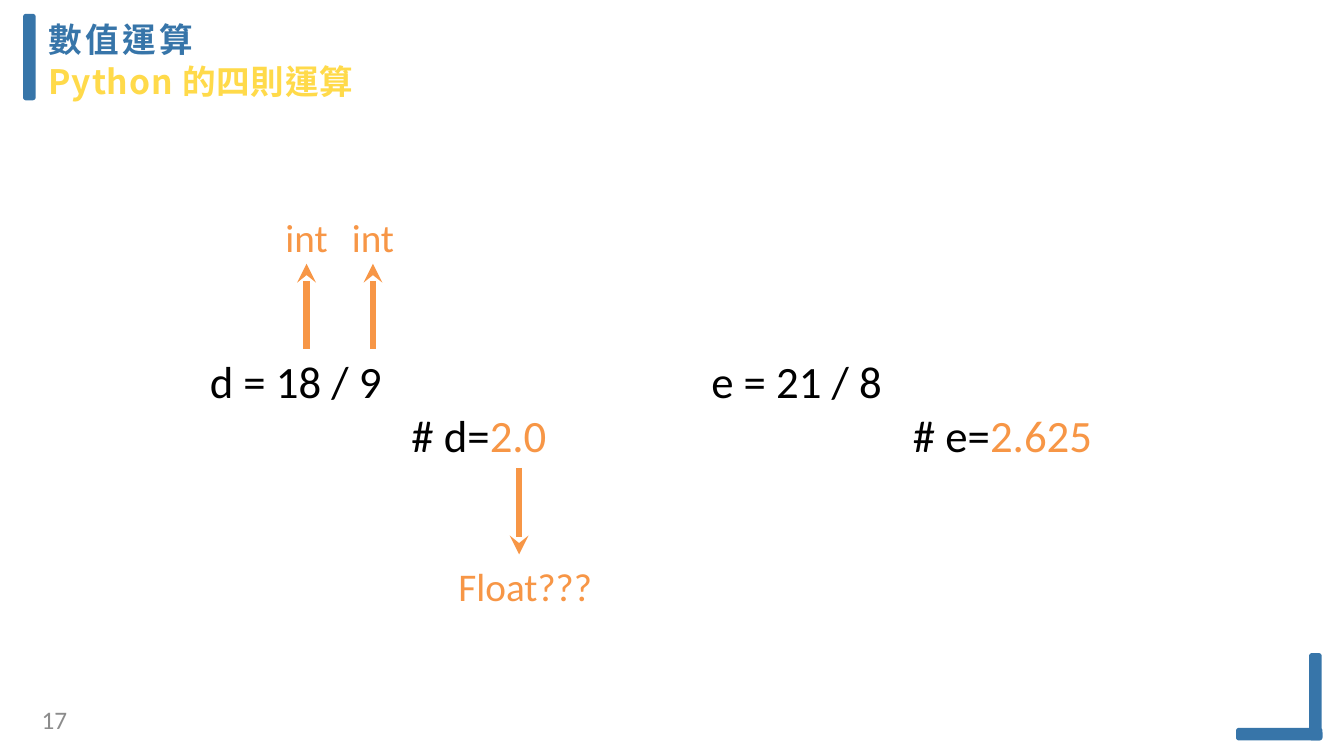
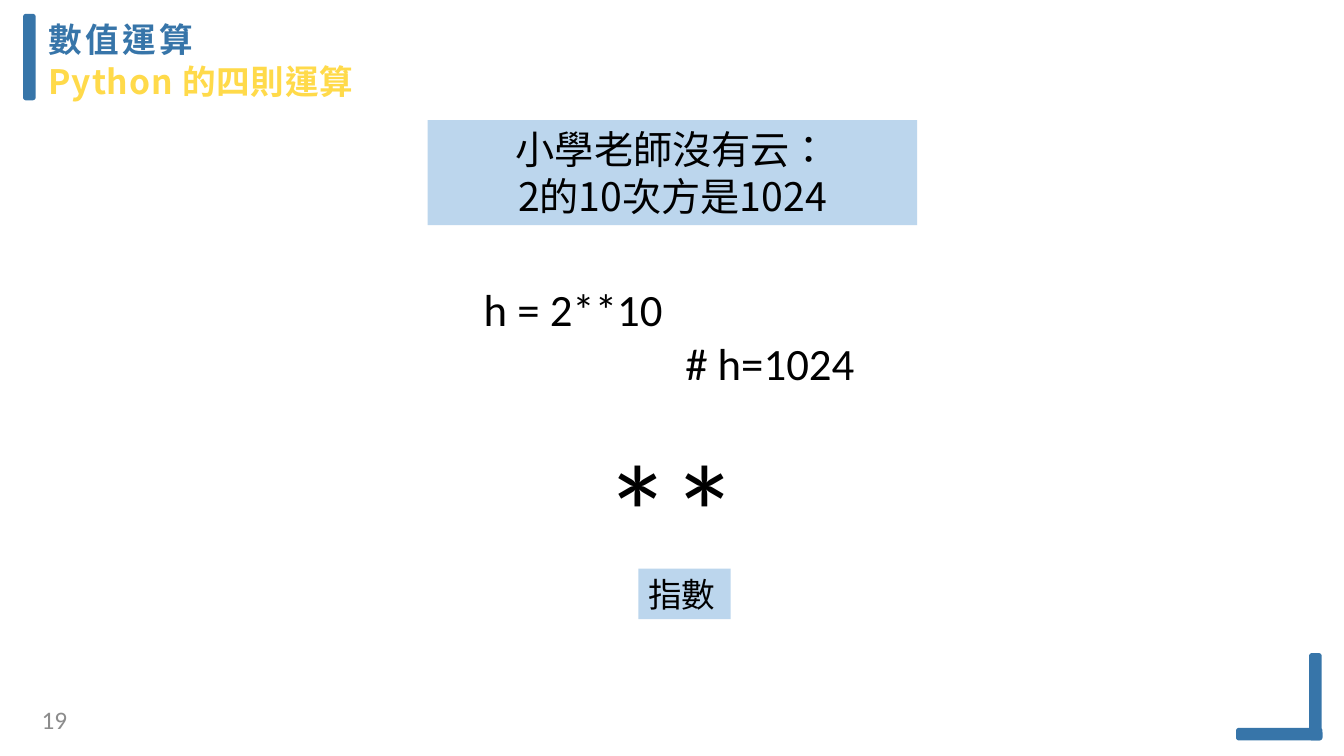
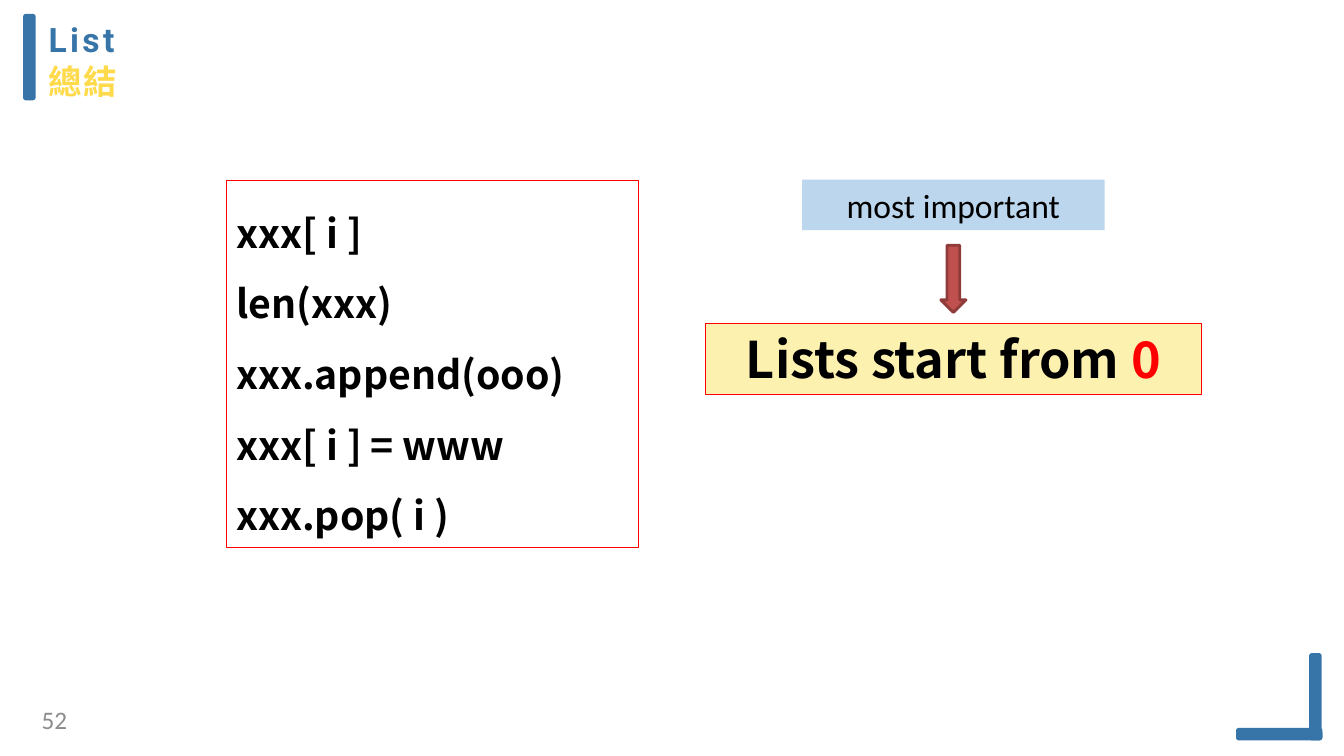
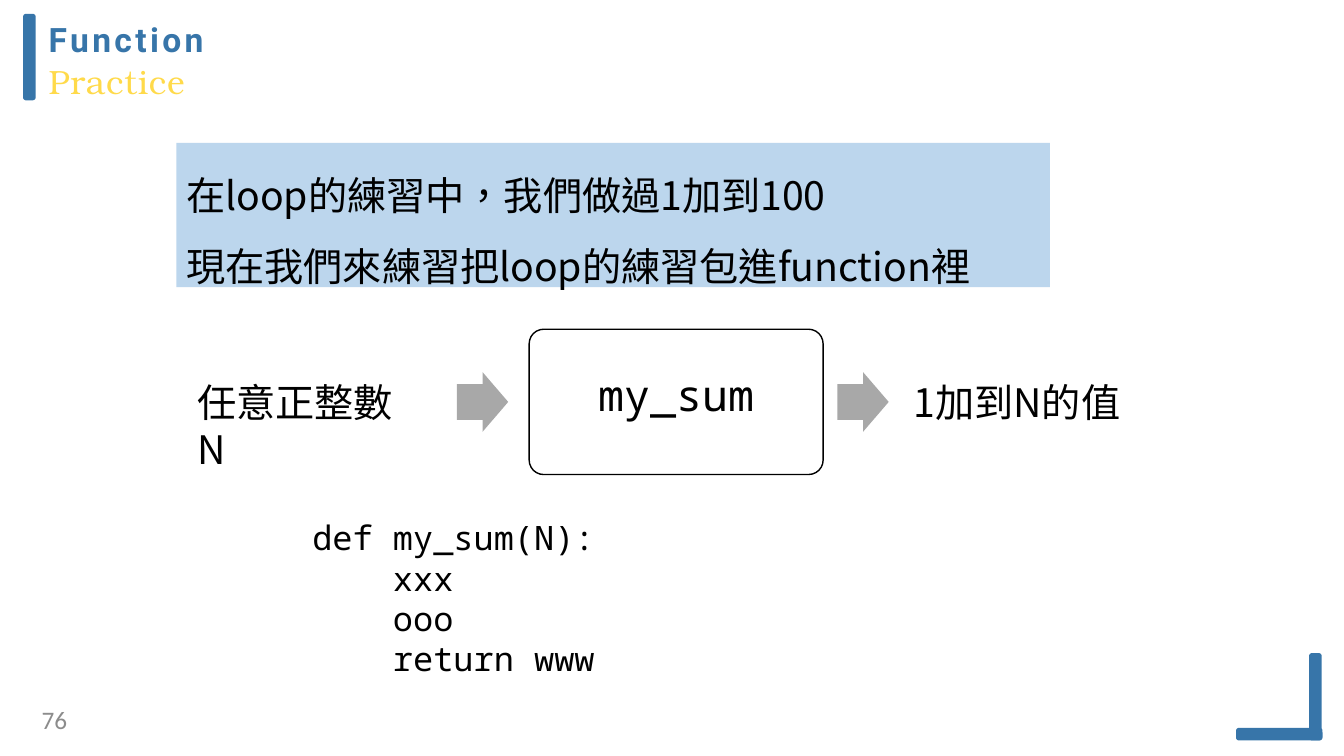
import pptx
import pptx.dml.color
import pptx.enum.shapes
import pptx.enum.text
import pptx.oxml
import pptx.oxml.ns
import pptx.util

RGBColor = pptx.dml.color.RGBColor
Shape = pptx.enum.shapes.MSO_SHAPE
Align = pptx.enum.text.PP_ALIGN
Anchor = pptx.enum.text.MSO_ANCHOR

BLUE = RGBColor(0x37, 0x75, 0xA9)
YELLOW = RGBColor(0xFF, 0xDA, 0x4A)
ORANGE = RGBColor(0xF7, 0x96, 0x46)
PALE_BLUE = RGBColor(0xBC, 0xD6, 0xED)
PALE_YELLOW = RGBColor(0xFD, 0xF1, 0xB0)
RED = RGBColor(0xFF, 0x00, 0x00)
BRICK = RGBColor(0xC0, 0x50, 0x4D)
DARK_BRICK = RGBColor(0x8E, 0x3B, 0x39)
GREY = RGBColor(0xA8, 0xA8, 0xA8)
PAGE_GREY = RGBColor(0x8C, 0x8C, 0x8C)
BLACK = RGBColor(0x00, 0x00, 0x00)
WHITE = RGBColor(0xFF, 0xFF, 0xFF)

LATIN = "Calibri"
CHINESE = "Noto Sans CJK SC"
CHINESE_TC = "Noto Sans CJK TC"
MONO = "Noto Sans Mono"
HEADING = "Roboto"
SERIF = "TeX Gyre Bonum"

COLUMNS, ROWS = 160, 90
BARS = [(3, 1.9, 1, 9.8), (156.1, 78, 1, 9.9), (147.4, 86.9, 9.8, 1)]
ARITHMETIC = (("數值運算", CHINESE), ("Python 的四則運算", CHINESE))


class Lecture:
    def __init__(self):
        self.deck = pptx.Presentation()
        self.deck.slide_width = pptx.util.Emu(12192000)
        self.deck.slide_height = pptx.util.Emu(6858000)
        self.page = None

    def grid(self, *lengths):
        steps = (self.deck.slide_width / COLUMNS, self.deck.slide_height / ROWS)
        return [pptx.util.Emu(round(length * steps[index % 2]))
                for index, length in enumerate(lengths)]

    def start(self, heading, number):
        self.page = self.deck.slides.add_slide(self.deck.slide_layouts[5])
        self.title(heading)
        for bar in BARS:
            self.shape(Shape.ROUNDED_RECTANGLE, bar, BLUE, BLUE, 3, (0.1,))
        box = self.text((1, 83.9, 7, 3.6), [str(number)], 18, colour=PAGE_GREY, align=Align.RIGHT)
        self.margins(box.text_frame, 0)

    def title(self, heading):
        title = self.page.shapes.title
        title.left, title.top, title.width, title.height = self.grid(5.8, 1.9, 54, 10)
        frame = title.text_frame
        frame.text = "\n".join(text for text, _ in heading)
        frame.auto_size = pptx.enum.text.MSO_AUTO_SIZE.NONE
        frame.vertical_anchor = Anchor.TOP
        self.margins(frame, 0)
        frame.margin_top = pptx.util.Pt(2)
        styles = [(BLUE, 2.4), (YELLOW, 0.6)]
        for para, (_, font), (colour, spacing) in zip(frame.paragraphs, heading, styles):
            para.alignment = Align.LEFT
            span = para.runs[0]
            self.style(span, 24, font, colour, font != SERIF)
            span.font._element.set("spc", str(round(spacing * 100)))
        frame.paragraphs[1].space_before = pptx.util.Pt(1)

    def margins(self, frame, size):
        frame.margin_left = frame.margin_right = pptx.util.Pt(size)
        frame.margin_top = frame.margin_bottom = pptx.util.Pt(size)

    def style(self, span, size, font, colour, bold):
        span.font.size = pptx.util.Pt(size)
        span.font.bold = bold
        span.font.color.rgb = colour
        span.font.name = font
        properties = span.font._element
        properties.set("lang", "zh-TW")
        east_asian = pptx.oxml.parse_xml(
            f'<a:ea {pptx.oxml.ns.nsdecls("a")} typeface="{font}"/>')
        properties.append(east_asian)

    def set_lines(self, shape, lines, size, font=LATIN, colour=BLACK, bold=False,
                  align=Align.LEFT, spacing=None, anchor=Anchor.TOP):
        frame = shape.text_frame
        frame.word_wrap = True
        frame.vertical_anchor = anchor
        for index, line in enumerate(lines):
            para = frame.add_paragraph() if index else frame.paragraphs[0]
            para.alignment = align
            para.line_spacing = spacing
            pieces = [(line, colour)] if isinstance(line, str) else line
            for text, shade in pieces:
                span = para.add_run()
                span.text = text
                self.style(span, size, font, shade, bold)

    def text(self, place, lines, size, **style):
        box = self.page.shapes.add_textbox(*self.grid(*place))
        self.set_lines(box, lines, size, **style)
        return box

    def shape(self, kind, place, fill=None, line=None, weight=0.75, adjustments=()):
        shape = self.page.shapes.add_shape(kind, *self.grid(*place))
        shape.shadow.inherit = False
        if fill is None:
            shape.fill.background()
        else:
            shape.fill.solid()
            shape.fill.fore_color.rgb = fill
        if line is None:
            shape.line.fill.background()
        else:
            shape.line.color.rgb = line
            shape.line.width = pptx.util.Pt(weight)
        for index, value in enumerate(adjustments):
            shape.adjustments[index] = value
        return shape

    def panel(self, place, lines, size, fill=PALE_BLUE, line=None, **style):
        self.set_lines(self.shape(Shape.RECTANGLE, place, fill, line), lines, size, **style)

    def arrow(self, column, start, end):
        connector = self.page.shapes.add_connector(
            pptx.enum.shapes.MSO_CONNECTOR.STRAIGHT, *self.grid(column, start, column, end))
        connector.line.color.rgb = ORANGE
        connector.line.width = pptx.util.Pt(4.5)
        names = pptx.oxml.ns.nsdecls("a")
        connector.line._get_or_add_ln().append(
            pptx.oxml.parse_xml(f'<a:tailEnd {names} type="stealth"/>'))
        connector._element.spPr.append(pptx.oxml.parse_xml(f"<a:effectLst {names}/>"))

    def example(self, place, code, name, result, colour=ORANGE):
        box = self.text(place, [code, [(f"# {name}=", BLACK), (result, colour)]], 32)
        comment = box.text_frame.paragraphs[1]
        comment._p.get_or_add_pPr().set("marL", str(pptx.util.Inches(2)))


def division(lecture):
    lecture.start(ARITHMETIC, 17)
    lecture.example((23.8, 41.5, 43, 14), "d = 18 / 9", "d", "2.0")
    lecture.example((83.5, 41.5, 49.6, 14), "e = 21 / 8", "e", "2.625")
    for column in (36.5, 44.4):
        lecture.arrow(column, 41.5, 31.4)
        lecture.text((column - 4, 24.8, 8, 6.8), ["int"], 28, colour=ORANGE, align=Align.CENTER)
    lecture.arrow(61.8, 55.7, 66)
    lecture.text((53.4, 66.4, 19, 6.8), ["Float???"], 28, colour=ORANGE)


def power(lecture):
    lecture.start(ARITHMETIC, 19)
    lecture.panel((50.9, 14.3, 58.3, 12.5), ["小學老師沒有云：", "2的10次方是1024"], 28,
                  font=CHINESE, align=Align.CENTER)
    lecture.example((56.4, 33, 47.2, 14), "h = 2**10", "h", "1024", BLACK)
    lecture.text((69.7, 50.3, 20.5, 20.6), ["**"], 96, align=Align.CENTER)
    lecture.panel((76, 67.7, 11, 6), ["指數"], 24, font=CHINESE)


def list_summary(lecture):
    lecture.start((("List", HEADING), ("總結", CHINESE)), 52)
    operations = ["xxx[ i ]", "len(xxx)", "xxx.append(ooo)", "xxx[ i ] = www", "xxx.pop( i )"]
    lecture.panel((27, 21.5, 49, 43.7), operations, 28, fill=None, line=RED,
                  font=CHINESE_TC, bold=True, spacing=1.5)
    lecture.panel((95.5, 21.4, 36, 6), ["most important"], 24, align=Align.CENTER)
    lecture.shape(Shape.DOWN_ARROW, (112, 29.2, 3, 8), BRICK, DARK_BRICK, 2)
    lecture.panel((84, 38.5, 59, 8.5), [[("Lists start from ", BLACK), ("0", RED)]], 36,
                  fill=PALE_YELLOW, line=RED, font=CHINESE, bold=True, align=Align.CENTER)


def function_practice(lecture):
    lecture.start((("Function", HEADING), ("Practice", SERIF)), 76)
    task = ["在loop的練習中，我們做過1加到100", "現在我們來練習把loop的練習包進function裡"]
    lecture.panel((21, 17, 104, 17.2), task, 28, font=CHINESE, spacing=1.5)
    for column in (54.4, 99.7):
        lecture.shape(Shape.RIGHT_ARROW, (column, 44.3, 6.1, 7.1), GREY, adjustments=(0.6, 0.5))
    function = lecture.shape(Shape.ROUNDED_RECTANGLE, (63, 39.2, 35, 17.3), WHITE, BLACK, 1, (0.1,))
    lecture.set_lines(function, ["my_sum"], 31, font=MONO, align=Align.CENTER,
                      spacing=0.9, anchor=Anchor.MIDDLE)
    function.text_frame.margin_bottom = pptx.util.Pt(10)
    for column, label in ((22.3, "任意正整數N"), (107.6, "1加到N的值")):
        lecture.text((column, 44.4, 29, 6.8), [label], 28, font=CHINESE)
    code = ["def my_sum(N):", "    xxx", "    ooo", "    return www"]
    lecture.text((36, 61, 56, 20.6), code, 24, font=MONO)


def main():
    lecture = Lecture()
    for build in (division, power, list_summary, function_practice):
        build(lecture)
    lecture.deck.save("out.pptx")


if __name__ == "__main__":
    main()
